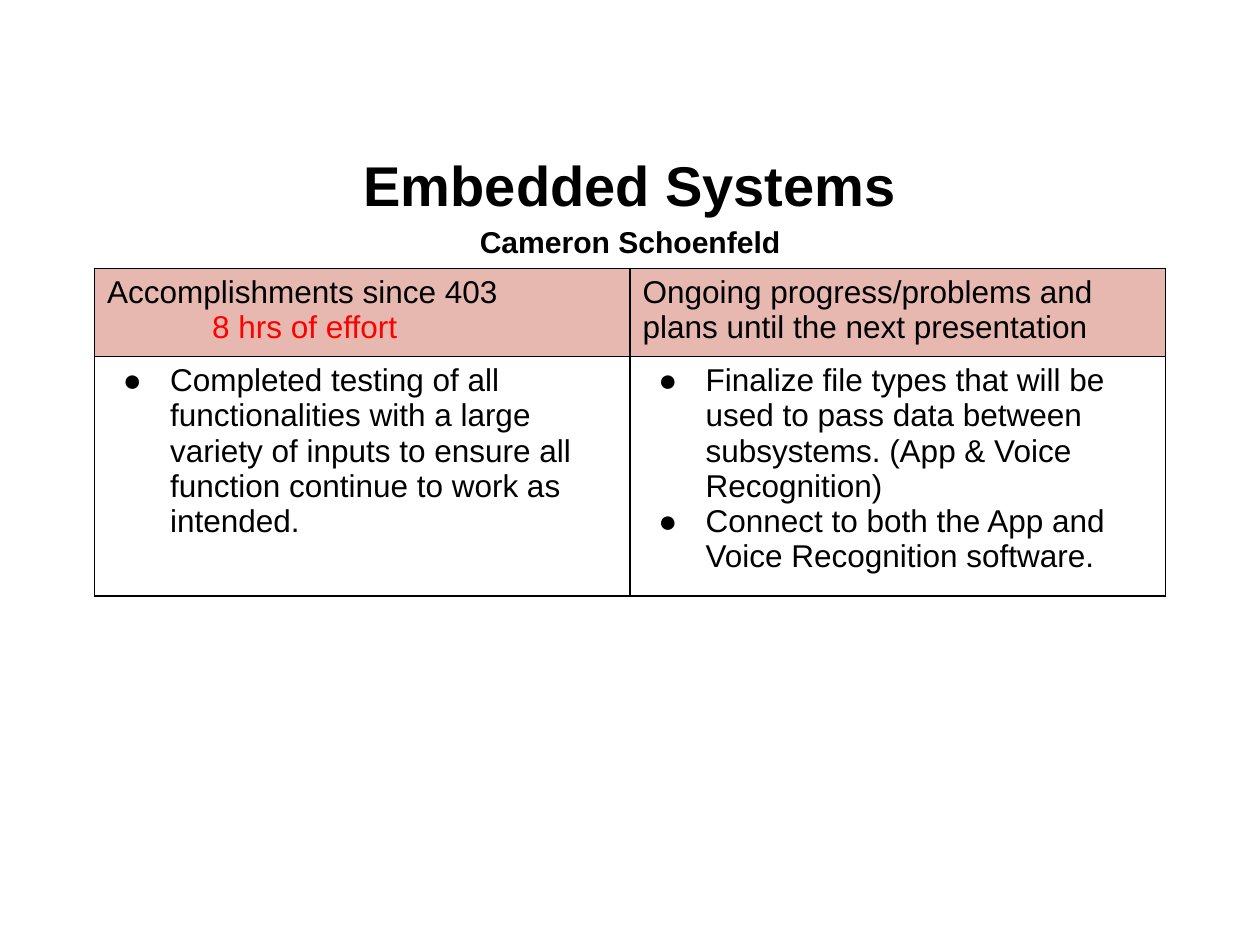
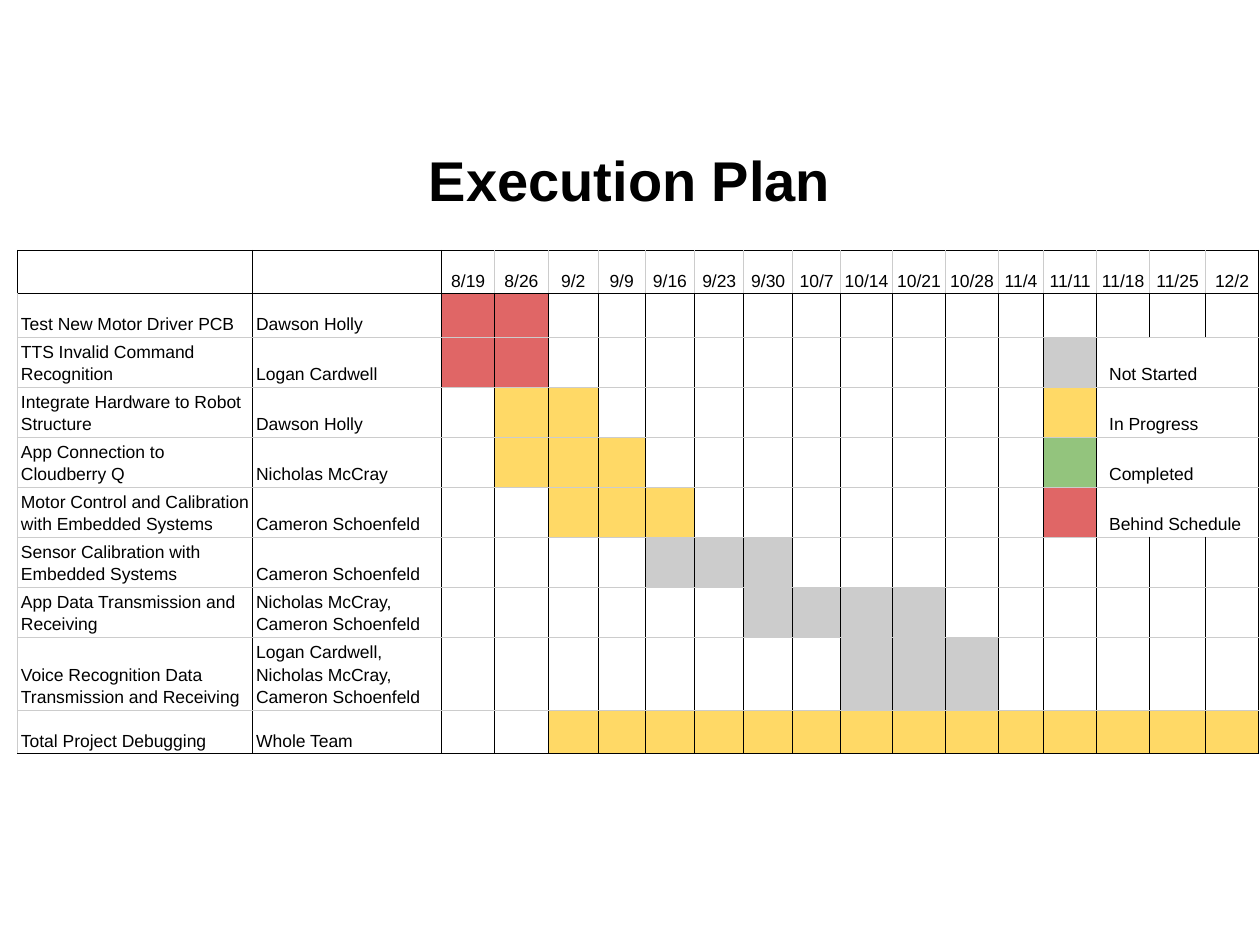
"""Build a status slide and a schedule slide for a student engineering team."""
import pptx
import pptx.dml.color
import pptx.enum.text
import pptx.oxml
import pptx.oxml.ns
import pptx.util

FONT = "Arial"
COLORS = {
    "text": "000000",
    "accent": "FF0000",
    "header": "E6B8AF",
    "grid": "CCCCCC",
    "not started": "CCCCCC",
    "in progress": "FFD966",
    "completed": "93C47D",
    "behind": "E06666",
}
CENTER = pptx.enum.text.PP_ALIGN.CENTER
BOTTOM = pptx.enum.text.MSO_ANCHOR.BOTTOM
TITLE_ONLY_LAYOUT = 5

DATES = ["8/19", "8/26", "9/2", "9/9", "9/16", "9/23", "9/30", "10/7", "10/14",
         "10/21", "10/28", "11/4", "11/11", "11/18", "11/25", "12/2"]
COLUMN_WIDTHS = [134.4, 108, 30.3, 30.6, 28.6, 26.8, 28.4, 28, 28, 27.4, 29.7,
                 30.3, 30.3, 25.8, 30.3, 30.3, 32, 30.3]
ROW_HEIGHTS = [23.04] * 2 + [28.6] * 6 + [41.7, 23.04]
TASKS = [
    ("Test New Motor Driver PCB", "Dawson Holly", "8/19", "8/26", "behind"),
    ("TTS Invalid Command Recognition", "Logan Cardwell", "8/19", "8/26", "behind"),
    ("Integrate Hardware to Robot Structure", "Dawson Holly", "8/26", "9/2", "in progress"),
    ("App Connection to Cloudberry Q", "Nicholas McCray", "8/26", "9/9", "in progress"),
    ("Motor Control and Calibration with Embedded Systems", "Cameron Schoenfeld",
     "9/2", "9/16", "in progress"),
    ("Sensor Calibration with Embedded Systems", "Cameron Schoenfeld",
     "9/16", "9/30", "not started"),
    ("App Data Transmission and Receiving", "Nicholas McCray, Cameron Schoenfeld",
     "9/30", "10/21", "not started"),
    ("Voice Recognition Data Transmission and Receiving",
     "Logan Cardwell, Nicholas McCray, Cameron Schoenfeld",
     "10/14", "10/28", "not started"),
    ("Total Project Debugging", "Whole Team", "9/2", "12/2", "in progress"),
]
LEGEND = [("Not Started", "not started"), ("In Progress", "in progress"),
          ("Completed", "completed"), ("Behind Schedule", "behind")]
LEGEND_ROW = 2
LEGEND_COLUMN = 2 + DATES.index("11/11")


def write_text(frame, text, size=18, color="text", bold=False, align=None,
               spacing=None, indent=0, bullet=False):
    """Fill the first empty paragraph of a frame, or add one, and return it."""
    paragraph = frame.paragraphs[-1]
    if paragraph.runs:
        paragraph = frame.add_paragraph()
    paragraph.alignment = align
    paragraph.line_spacing = spacing
    run = paragraph.add_run()
    run.text = text
    run.font.name = FONT
    run.font.size = pptx.util.Pt(size)
    run.font.bold = bold
    run.font.color.rgb = pptx.dml.color.RGBColor.from_string(COLORS[color])
    properties = paragraph._p.get_or_add_pPr()
    if indent:
        properties.set("marL", str(pptx.util.Pt(indent)))
    if bullet:
        properties.set("indent", str(pptx.util.Pt(-27)))
        namespace = pptx.oxml.ns.nsdecls("a")
        for xml in (f'<a:buClr {namespace}><a:srgbClr val="{COLORS[color]}"/></a:buClr>',
                    f'<a:buFont {namespace} typeface="{FONT}"/>',
                    f'<a:buChar {namespace} char="●"/>'):
            properties.append(pptx.oxml.parse_xml(xml))
    return paragraph


def add_titled_slide(presentation, top, title, subtitle=None):
    """Add a title-only slide with a bold centred heading."""
    slide = presentation.slides.add_slide(presentation.slide_layouts[TITLE_ONLY_LAYOUT])
    shape = slide.shapes.title
    shape.left, shape.top = pptx.util.Pt(36), pptx.util.Pt(top)
    shape.width, shape.height = pptx.util.Pt(648), pptx.util.Pt(63)
    frame = shape.text_frame
    frame.auto_size = pptx.enum.text.MSO_AUTO_SIZE.NONE
    frame.vertical_anchor = pptx.enum.text.MSO_ANCHOR.MIDDLE
    spacing = 1.15 if subtitle else 1
    write_text(frame, title, size=32, bold=True, align=CENTER, spacing=spacing)
    if subtitle:
        write_text(frame, subtitle, size=17.2, bold=True, align=CENTER, spacing=spacing)
    return slide


def add_plain_table(slide, left, top, widths, heights):
    """Add a table without banding and size its columns and rows."""
    table = slide.shapes.add_table(
        len(heights), len(widths), pptx.util.Pt(left), pptx.util.Pt(top),
        pptx.util.Pt(sum(widths)), pptx.util.Pt(sum(heights))).table
    table.first_row = table.horz_banding = False
    for column, width in zip(table.columns, widths):
        column.width = pptx.util.Pt(width)
    for row, height in zip(table.rows, heights):
        row.height = pptx.util.Pt(height)
    return table


def format_cell(cell, fill=None, line_width=1, margins=(7.2, 3.6), anchor=None,
                left="text", right="text", top="text", bottom="text"):
    """Set the borders, fill, margins and anchor of a cell."""
    properties = cell._tc.get_or_add_tcPr()
    for tag, color in (("lnL", left), ("lnR", right), ("lnT", top), ("lnB", bottom)):
        properties.append(pptx.oxml.parse_xml(
            f'<a:{tag} {pptx.oxml.ns.nsdecls("a")} w="{pptx.util.Pt(line_width)}">'
            f'<a:solidFill><a:srgbClr val="{COLORS[color]}"/></a:solidFill></a:{tag}>'))
    if fill:
        cell.fill.solid()
        cell.fill.fore_color.rgb = pptx.dml.color.RGBColor.from_string(COLORS[fill])
    else:
        cell.fill.background()
    horizontal, vertical = margins
    cell.margin_left = cell.margin_right = pptx.util.Pt(horizontal)
    cell.margin_top = cell.margin_bottom = pptx.util.Pt(vertical)
    cell.vertical_anchor = anchor


def add_status_table(slide):
    """Add the table of accomplishments and plans."""
    table = add_plain_table(slide, 54, 153.4, [306, 306], [50.4, 136.8])
    for cell in table.iter_cells():
        format_cell(cell)
    done, planned = table.cell(0, 0), table.cell(0, 1)
    for cell in (done, planned):
        format_header = cell.fill
        format_header.solid()
        format_header.fore_color.rgb = pptx.dml.color.RGBColor.from_string(COLORS["header"])
    write_text(done.text_frame, "Accomplishments since 403")
    write_text(done.text_frame, "8 hrs of effort", color="accent", indent=60)
    write_text(planned.text_frame,
               "Ongoing progress/problems and plans until the next presentation")
    bullets = [
        ["Completed testing of all functionalities with a large variety of inputs "
         "to ensure all function continue to work as intended."],
        ["Finalize file types that will be used to pass data between subsystems. "
         "(App & Voice Recognition)",
         "Connect to both the App and Voice Recognition software."],
    ]
    for column, items in enumerate(bullets):
        for item in items:
            write_text(table.cell(1, column).text_frame, item, indent=36, bullet=True)


def schedule_borders(row, column):
    """Return the border colours of a schedule cell."""
    last_row, last_column = len(TASKS), len(DATES) + 1
    header_date = row == 0 and column >= 2
    return {
        "left": "grid" if (header_date and column > 2) or (row and column == 0) else "text",
        "right": "grid" if header_date and column < last_column else "text",
        "top": "text" if row <= 1 else "grid",
        "bottom": "text" if row in (0, last_row) else "grid",
    }


def add_schedule(slide):
    """Add the task schedule with its status legend."""
    table = add_plain_table(slide, 10, 143.1, COLUMN_WIDTHS, ROW_HEIGHTS)
    texts = {(0, column): date for column, date in enumerate(DATES, 2)}
    fills = {}
    for row, (task, owner, start, end, status) in enumerate(TASKS, 1):
        texts[row, 0], texts[row, 1] = task, owner
        for column in range(DATES.index(start), DATES.index(end) + 1):
            fills[row, column + 2] = status
    for row, (label, status) in enumerate(LEGEND, LEGEND_ROW):
        fills[row, LEGEND_COLUMN] = status
        texts[row, LEGEND_COLUMN + 1] = label
        table.cell(row, LEGEND_COLUMN + 1).merge(table.cell(row, LEGEND_COLUMN + 3))
    for row in range(len(ROW_HEIGHTS)):
        for column in range(len(COLUMN_WIDTHS)):
            cell = table.cell(row, column)
            if cell.is_spanned:
                continue
            format_cell(cell, fill=fills.get((row, column)), line_width=0.6,
                        margins=(7.2 if cell.is_merge_origin else 2, 1.4),
                        anchor=BOTTOM, **schedule_borders(row, column))
            if (row, column) in texts:
                write_text(cell.text_frame, texts[row, column], size=10, spacing=1.15,
                           align=CENTER if row == 0 else None)


def main():
    """Build both slides and save the presentation."""
    presentation = pptx.Presentation()
    presentation.slide_width = pptx.util.Pt(720)
    presentation.slide_height = pptx.util.Pt(540)
    add_status_table(add_titled_slide(presentation, 82.8, "Embedded Systems",
                                      "Cameron Schoenfeld"))
    add_schedule(add_titled_slide(presentation, 70.6, "Execution Plan"))
    presentation.save("out.pptx")


if __name__ == "__main__":
    main()
